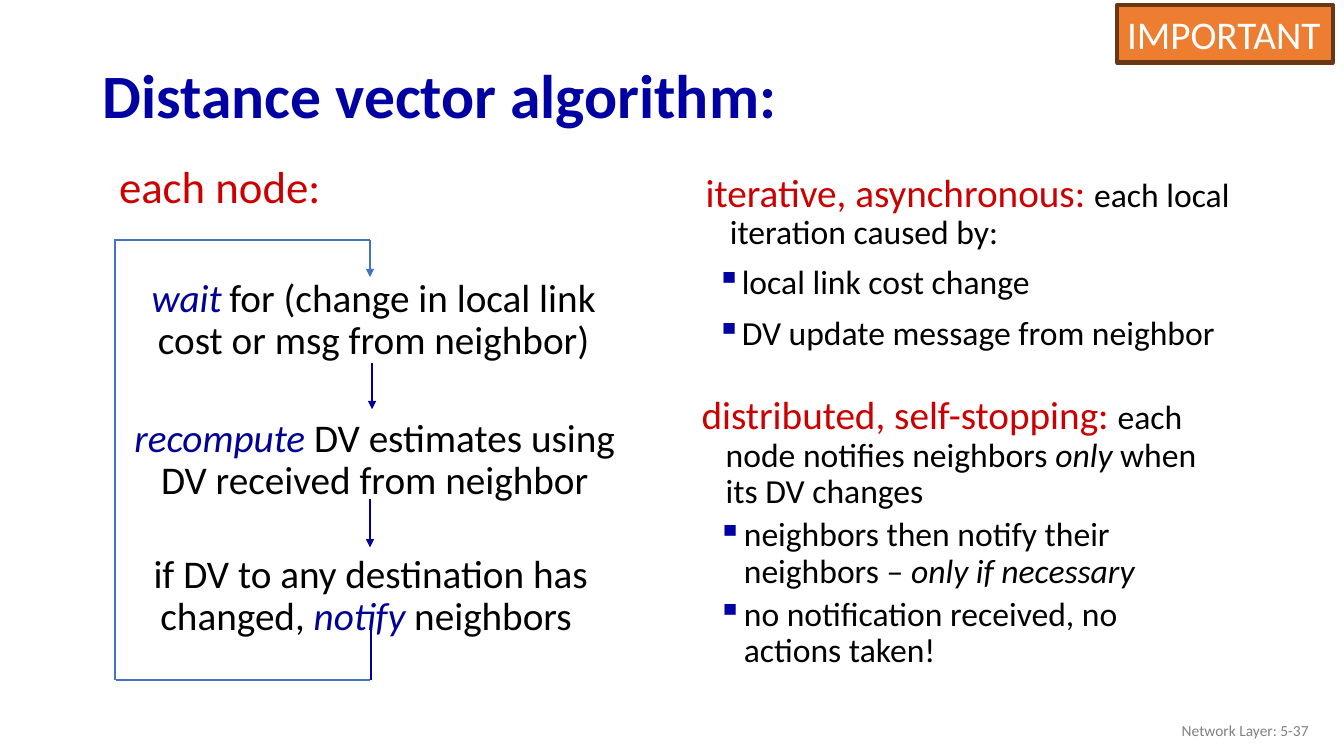
from lxml.etree import SubElement as Sub
from pptx import Presentation
from pptx.dml.color import RGBColor
from pptx.enum.shapes import MSO_CONNECTOR as CONN, MSO_SHAPE as SHAPE
from pptx.enum.text import MSO_ANCHOR as ANCHOR, MSO_AUTO_SIZE as AUTO, PP_ALIGN as ALIGN
from pptx.oxml.ns import qn
from pptx.util import Pt

PX = 9144
FONT = "Calibri"
NAVY, INK, BLUE, RED, BLACK = "0000A3", "000099", "4472C4", "CC0000", "000000"
HEAD = {"size": 28, "color": RED}
BODY = {"size": 24, "color": BLACK}
BODY_EM = {**BODY, "italic": True}
STEP = {"size": 28, "color": BLACK}
STEP_EM = {"size": 28, "color": INK, "italic": True}


def px(*lengths):
    """Turn px lengths into EMU."""
    return [n * PX for n in lengths]


def rgb(color):
    """Turn a hex string into a colour."""
    return RGBColor.from_string(color)


def add_runs(p, runs):
    """Write (text, format) runs into a paragraph."""
    for text, fmt in runs:
        r = p.add_run()
        r.text = text
        values = {"name": FONT, **fmt, "size": Pt(fmt["size"])}
        r.font.color.rgb = rgb(values.pop("color"))
        for name, value in values.items():
            setattr(r.font, name, value)


def format_frame(tf, **values):
    """Set text frame properties, without autofit."""
    for name, value in {"auto_size": AUTO.NONE, "word_wrap": True, **values}.items():
        setattr(tf, name, value)


def add_text(s, box, runs, align=ALIGN.LEFT, spacing=0.9, **frame):
    """Add a text box with one paragraph."""
    tf = s.shapes.add_textbox(*px(*box)).text_frame
    format_frame(tf, **frame)
    p = tf.paragraphs[0]
    p.alignment, p.line_spacing = align, spacing
    add_runs(p, runs)
    return tf


def indent(p, left, hanging):
    """Give a paragraph a hanging indent."""
    pPr = p._p.get_or_add_pPr()
    pPr.set("marL", str(left * PX))
    pPr.set("indent", str(-hanging * PX))
    return pPr


def add_topic(s, box, lead, bullets, left, hanging, before):
    """Add a lead paragraph followed by square bullets."""
    tf = add_text(s, box, lead)
    indent(tf.paragraphs[0], 39, 24)
    for runs in bullets:
        p = tf.add_paragraph()
        p.line_spacing, p.space_before = 0.9, Pt(before)
        pPr = indent(p, left, hanging)
        Sub(Sub(pPr, qn("a:buClr")), qn("a:srgbClr"), val=NAVY)
        Sub(pPr, qn("a:buChar"), char="▪")
        add_runs(p, runs)


def add_line(s, ends, color, arrow=False):
    """Add a straight line, with an arrowhead if asked."""
    c = s.shapes.add_connector(CONN.STRAIGHT, *px(*ends))
    c.line.color.rgb, c.line.width = rgb(color), Pt(1.5)
    if arrow:
        Sub(c.line._get_or_add_ln(), qn("a:tailEnd"), type="triangle")
    Sub(c._element.spPr, qn("a:effectLst"))


def add_title(s, box, text):
    """Place and format the title placeholder."""
    title = s.shapes.title
    title.left, title.top, title.width, title.height = px(*box)
    tf = title.text_frame
    format_frame(tf, vertical_anchor=ANCHOR.MIDDLE)
    p = tf.paragraphs[0]
    p.alignment, p.line_spacing = ALIGN.LEFT, 0.9
    add_runs(p, [(text, {"size": 44, "color": NAVY, "bold": True})])


def add_badge(s, box, text):
    """Add the outlined badge in the corner."""
    sp = s.shapes.add_shape(SHAPE.RECTANGLE, *px(*box))
    sp.shadow.inherit = False
    sp.fill.solid()
    sp.fill.fore_color.rgb = rgb("ED7D31")
    sp.line.color.rgb, sp.line.width = rgb("683715"), Pt(3)
    tf = sp.text_frame
    format_frame(tf, word_wrap=False, vertical_anchor=ANCHOR.MIDDLE)
    tf.paragraphs[0].alignment = ALIGN.LEFT
    add_runs(tf.paragraphs[0], [(text, {"size": 28, "color": "FFFFFF"})])


def add_loop(s):
    """Add the node's three steps and the lines that join them."""
    add_text(s, (107, 153, 222, 64), [("each node:", {"size": 32, "color": RED})],
             ALIGN.CENTER, 1.0, word_wrap=False)
    steps = [
        (118, 271, [("wait", STEP_EM), (" ", BODY),
                    ("for (change in local link cost or msg from neighbor)", STEP)]),
        (119, 410, [("recompute", STEP_EM),
                    (" DV estimates using DV received from neighbor", STEP)]),
        (115, 545, [("if DV to any destination has changed, ", STEP),
                    ("notify", STEP_EM), (" neighbors ", STEP)]),
    ]
    for left, top, runs in steps:
        add_text(s, (left, top, 505, 95), runs, ALIGN.CENTER)
    for ends, color, arrow in [
        ((369, 360, 369, 406), INK, True),
        ((367, 495, 367, 543), INK, True),
        ((368, 675, 368, 625), INK, False),
        ((367, 238, 367, 275), BLUE, True),
        ((115, 675, 367, 675), BLUE, False),
        ((115, 238, 367, 238), BLUE, False),
        ((114, 237, 114, 675), BLUE, False),
    ]:
        add_line(s, ends, color, arrow)


def main():
    """Build the slide and save it."""
    prs = Presentation()
    prs.slide_width, prs.slide_height = px(1333, 750)
    s = prs.slides.add_slide(prs.slide_layouts[5])
    add_title(s, (92, 49, 1150, 98), "Distance vector algorithm:")
    add_text(s, (1008, 705, 300, 40),
             [("Network Layer: 5-37", {"size": 11, "color": "808080"})],
             ALIGN.RIGHT, 1.0, vertical_anchor=ANCHOR.MIDDLE)
    add_topic(s, (675, 167, 591, 216),
              [("iterative, asynchronous: ", HEAD),
               ("each local iteration caused by:", BODY)],
              [[("local link cost change", BODY)],
               [("DV update message from neighbor", BODY)]], 50, 24, 10)
    add_topic(s, (671, 388, 540, 319),
              [("distributed, self-stopping: ", HEAD),
               ("each node notifies neighbors ", BODY),
               ("only", BODY_EM), (" when its DV changes", BODY)],
              [[("neighbors then notify their neighbors – ", BODY),
                ("only if necessary", BODY_EM)],
               [("no notification received, no actions taken!", BODY)]], 57, 26, 5)
    add_loop(s)
    add_badge(s, (1108, 5, 214, 57), "IMPORTANT")
    prs.save("out.pptx")


if __name__ == "__main__":
    main()
